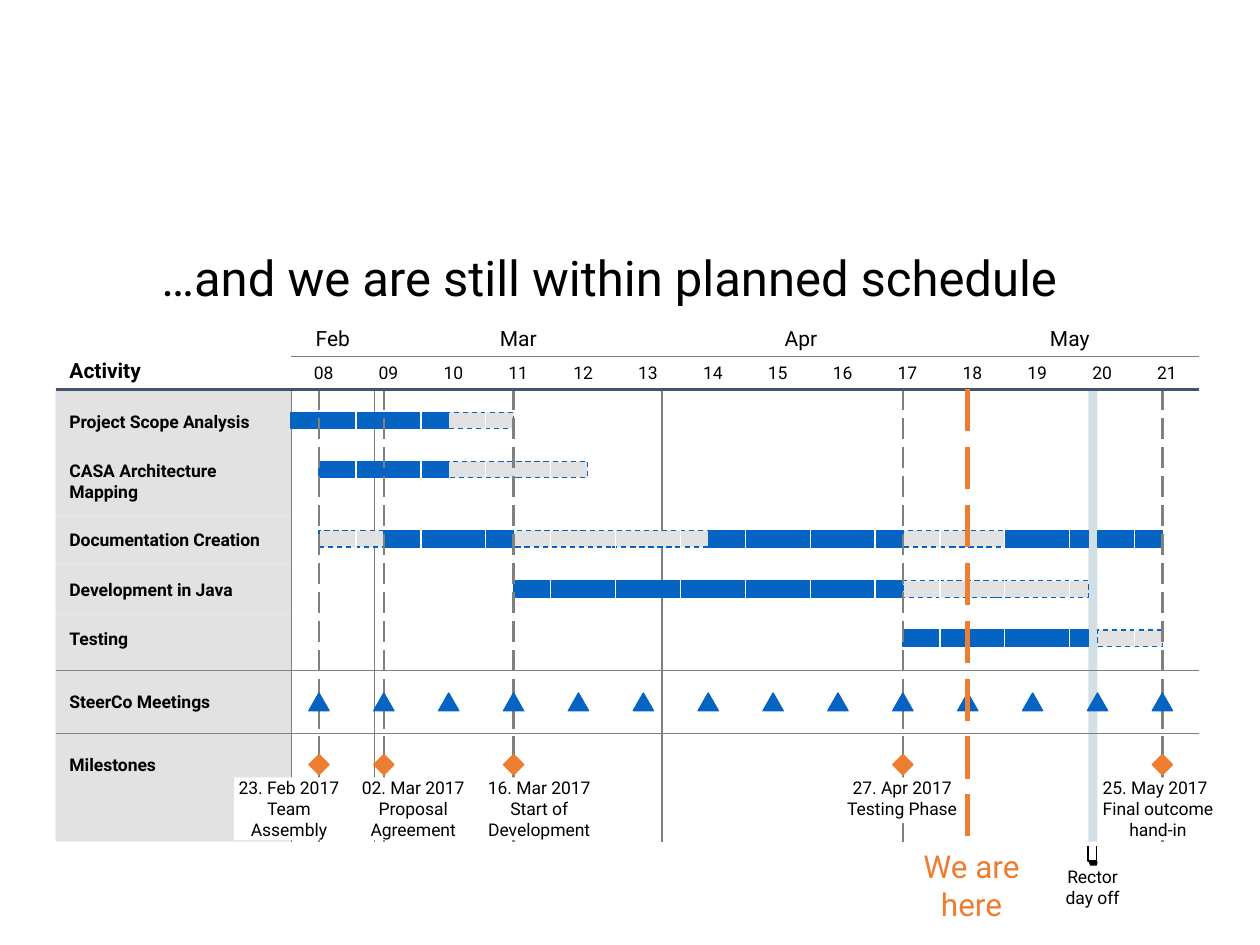
from pptx import Presentation
from pptx.util import Cm, Pt
from pptx.dml.color import RGBColor
from pptx.enum.dml import MSO_LINE
from pptx.enum.shapes import MSO_CONNECTOR, MSO_SHAPE
from pptx.enum.text import MSO_ANCHOR, PP_ALIGN
from pptx.oxml.ns import qn
from lxml import etree

LEFT_AL, MID_AL = PP_ALIGN.LEFT, PP_ALIGN.CENTER
TOP, MIDDLE, BOTTOM = MSO_ANCHOR.TOP, MSO_ANCHOR.MIDDLE, MSO_ANCHOR.BOTTOM
DASH, LONG = MSO_LINE.DASH, MSO_LINE.LONG_DASH
RECT, TRI, GEM = MSO_SHAPE.RECTANGLE, MSO_SHAPE.ISOSCELES_TRIANGLE, MSO_SHAPE.DIAMOND
BRACKET = MSO_SHAPE.RIGHT_BRACKET
STRAIGHT = MSO_CONNECTOR.STRAIGHT

BLACK = RGBColor(0, 0, 0)
WHITE = RGBColor(255, 255, 255)
LIGHT = RGBColor(0xE2, 0xE2, 0xE2)
GREY = RGBColor(0x80, 0x80, 0x80)
NAVY = RGBColor(0x44, 0x54, 0x6A)
BLUE = RGBColor(0x05, 0x63, 0xC1)
PALE = RGBColor(0xD2, 0xE0, 0xE6)
ORANGE = RGBColor(0xED, 0x7D, 0x31)
FONT = "Roboto"

TITLE = "…and we are still within planned schedule"
MONTHS = [("Feb", 0, 9), ("Mar", 9, 40), ("Apr", 40, 70), ("May", 70, 98)]
WEEKS = range(8, 22)
DAYS = 7 * len(WEEKS)

# name, row top, label top, label width, planned spans, done spans (in days)
ROWS = [
    ("Project Scope Analysis", 7.85, 8.28, 3.89, [(17, 24)], [(0, 17)]),
    ("CASA Architecture\vMapping", 8.97, 9.27, 3.23, [(17, 32)], [(3, 17)]),
    ("Documentation Creation", 10.39, 10.67, 4.22,
     [(3, 10), (24, 45), (66, 77)], [(10, 24), (45, 66), (77, 86), (87, 94)]),
    ("Development in Java", 11.38, 11.68, 3.58, [(66, 86)], [(24, 66)]),
    ("Testing", 12.39, 12.67, 1.3, [(87, 94)], [(66, 86)]),
    ("SteerCo Meetings", 13.52, 13.94, 3.05, [], []),
    ("Milestones", 14.78, 15.21, 1.88, [], []),
]
# day, label left, label width, label height, lines, first line alignment
STONES = [
    (3, 4.72, 2.21, 1.27, ["23. Feb 2017", "Team\vAssembly"], MID_AL),
    (10, 7.21, 2.24, 1.27, ["02. Mar 2017", "Proposal\vAgreement"], MID_AL),
    (24, 9.7, 2.34, 1.27, ["16. Mar 2017", "Start of", "Development"], MID_AL),
    (66, 16.99, 2.39, 0.84, ["27. Apr 2017", "Testing Phase"], MID_AL),
    (94, 22.23, 2.44, 1.27, ["25. May 2017", "Final outcome", "hand-in"], LEFT_AL),
]
NOW, OFF = 73, 86

EDGE, LEFT, RIGHT = 1.12, 5.87, 24.18
MONTH_Y, WEEK_Y, HEAD, FOOT = 6.45, 7.19, 7.85, 16.97
MARK = 0.41

deck = Presentation()
deck.slide_width, deck.slide_height = Cm(25.4), Cm(19.05)
slide = deck.slides.add_slide(deck.slide_layouts[5])
shapes = slide.shapes


def day_x(day):
    return LEFT + (RIGHT - LEFT) * day / DAYS


def style(par, size, color=BLACK, bold=False, align=LEFT_AL):
    par.alignment = align
    par.font.name, par.font.size, par.font.bold = FONT, Pt(size), bold
    par.font.color.rgb = color


def block(kind, x, y, w, h, fill=None, edge=None, dash=None):
    item = shapes.add_shape(kind, Cm(x), Cm(y), Cm(w), Cm(h))
    item.shadow.inherit = False
    if fill is None:
        item.fill.background()
    else:
        item.fill.solid()
        item.fill.fore_color.rgb = fill
    if edge is None:
        item.line.fill.background()
    else:
        item.line.color.rgb, item.line.width = edge, Pt(0.75)
        if dash:
            item.line.dash_style = dash
    return item


def rule(x1, y1, x2, y2, color=GREY, width=0.75, dash=None):
    item = shapes.add_connector(STRAIGHT, Cm(x1), Cm(y1), Cm(x2), Cm(y2))
    item.line.color.rgb, item.line.width = color, Pt(width)
    if dash:
        item.line.dash_style = dash
    etree.SubElement(item._element.spPr, qn("a:effectLst"))


def upright(day, color=GREY, width=0.75, dash=None):
    rule(day_x(day), HEAD, day_x(day), FOOT, color, width, dash)


def label(lines, x, y, w, h, size=10, color=BLACK, bold=False,
          align=LEFT_AL, anchor=TOP, pad=0, fill=None):
    box = shapes.add_textbox(Cm(x), Cm(y), Cm(w), Cm(h))
    if fill is not None:
        box.fill.solid()
        box.fill.fore_color.rgb = fill
    frame = box.text_frame
    frame.word_wrap, frame.vertical_anchor = False, anchor
    frame.margin_left = frame.margin_right = 0
    frame.margin_top = frame.margin_bottom = Cm(pad)
    frame.text = "\n".join(lines)
    for par in frame.paragraphs:
        style(par, size, color, bold, align)
    return frame


def mark(kind, day, y, h, color):
    block(kind, day_x(day) - MARK / 2, y, MARK, h, color, color)


head = shapes.title
head.left, head.top, head.width, head.height = Cm(3), Cm(5), Cm(21.64), Cm(3.02)
head.text_frame.text = TITLE
head.text_frame.vertical_anchor = TOP
style(head.text_frame.paragraphs[0], 28)
head.text_frame.paragraphs[0].line_spacing = 0.9

ends = [row[1] for row in ROWS[1:]] + [FOOT]
for row, end in zip(ROWS, ends):
    block(RECT, EDGE, row[1], LEFT - EDGE, end - row[1], LIGHT)
block(RECT, day_x(OFF), HEAD, day_x(1) - LEFT, FOOT - HEAD, PALE)

for name, start, stop in MONTHS:
    x, end = day_x(start), day_x(stop)
    label([name], x, MONTH_Y, end - x, 0.74, 12, align=MID_AL, anchor=MIDDLE, pad=0.13)
    rule(x, WEEK_Y, end, WEEK_Y)
    upright(start)
for i, week in enumerate(WEEKS):
    label([f"{week:02}"], day_x(7 * i), WEEK_Y, day_x(7) - LEFT, 0.66,
          align=MID_AL, anchor=MIDDLE, pad=0.13)

for name, top, y, width, plan, done in ROWS:
    for spans, fill, dash in ((plan, LIGHT, DASH), (done, BLUE, None)):
        for start, stop in spans:
            block(RECT, day_x(start), y + 0.03, day_x(stop) - day_x(start), 0.33,
                  fill, BLUE, dash)

for day in range(7, DAYS, 7):
    upright(day, WHITE)
for row in ROWS[-2:]:
    rule(EDGE, row[1], RIGHT, row[1])
for stone in STONES:
    upright(stone[0], width=1.5, dash=LONG)
rule(EDGE, HEAD, RIGHT, HEAD, NAVY, 1.5)

hook = block(BRACKET, 21.87, 17.12, 0.3, 0.18, edge=BLACK)
hook.rotation, hook.adjustments[0] = 90, 0
tip = block(TRI, 21.95, 17.37, 0.18, 0.3, BLACK)
tip.rotation = 180

for day in range(3, DAYS, 7):
    mark(TRI, day, 13.97, 0.36, BLUE)
label(["Activity"], 1.4, 7.21, 1.63, 0.51, 12, bold=True, anchor=BOTTOM)
for name, top, y, width, plan, done in ROWS:
    label([name], 1.4, y, width, 0.43 * (1 + name.count("\v")), bold=True)
for day, x, w, h, lines, first in STONES:
    mark(GEM, day, 15.21, MARK, ORANGE)
    frame = label(lines, x, 15.67, w, h, align=MID_AL, fill=WHITE)
    frame.paragraphs[0].alignment = first

label(["Rector\vday off"], 21.29, 17.45, 1.47, 0.43, align=MID_AL, fill=WHITE)
upright(NOW, ORANGE, 3, LONG)
label(["We are", "here"], 18.39, 17.07, 2.39, 0.84, 18, ORANGE, align=MID_AL, fill=WHITE)

deck.save("out.pptx")
